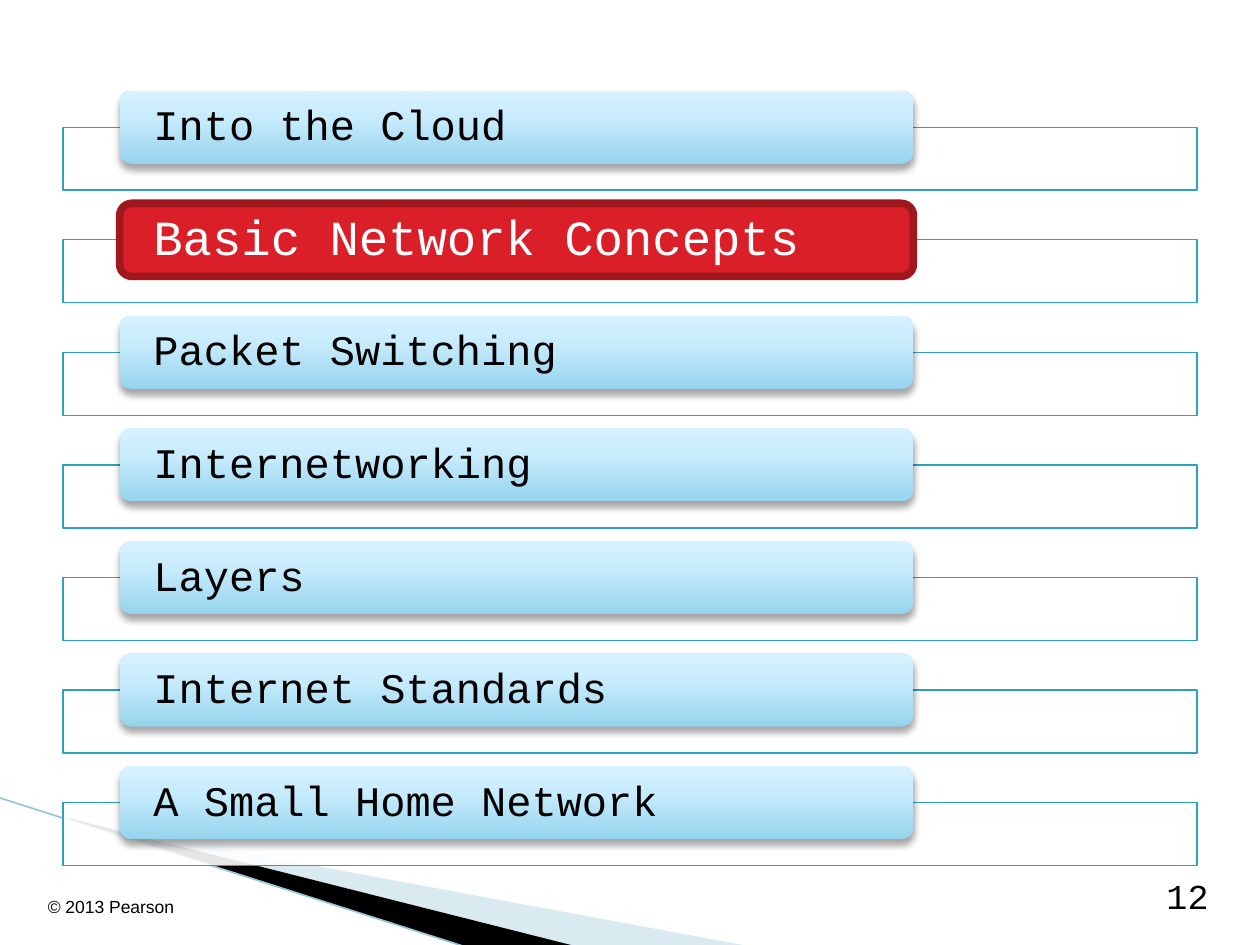
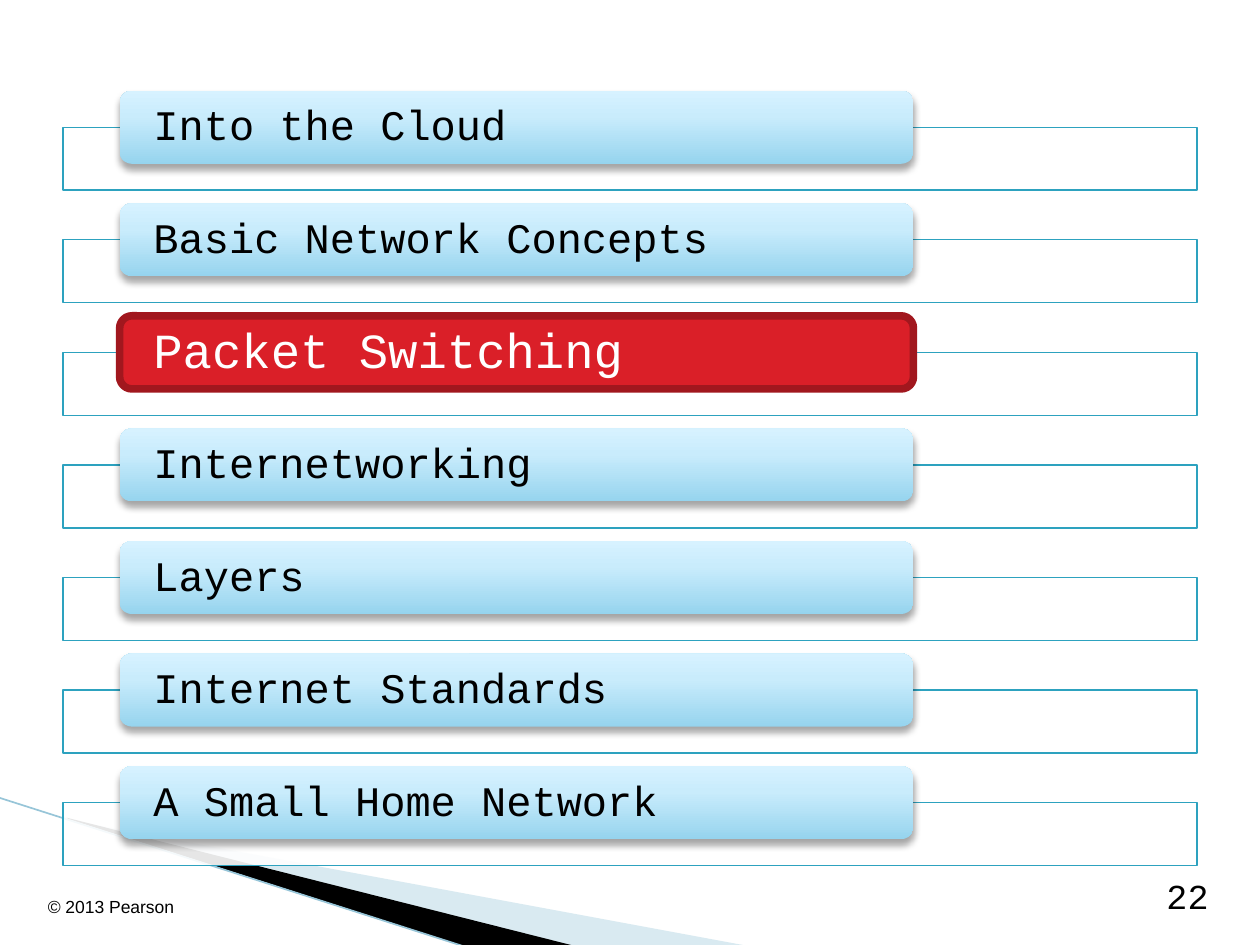
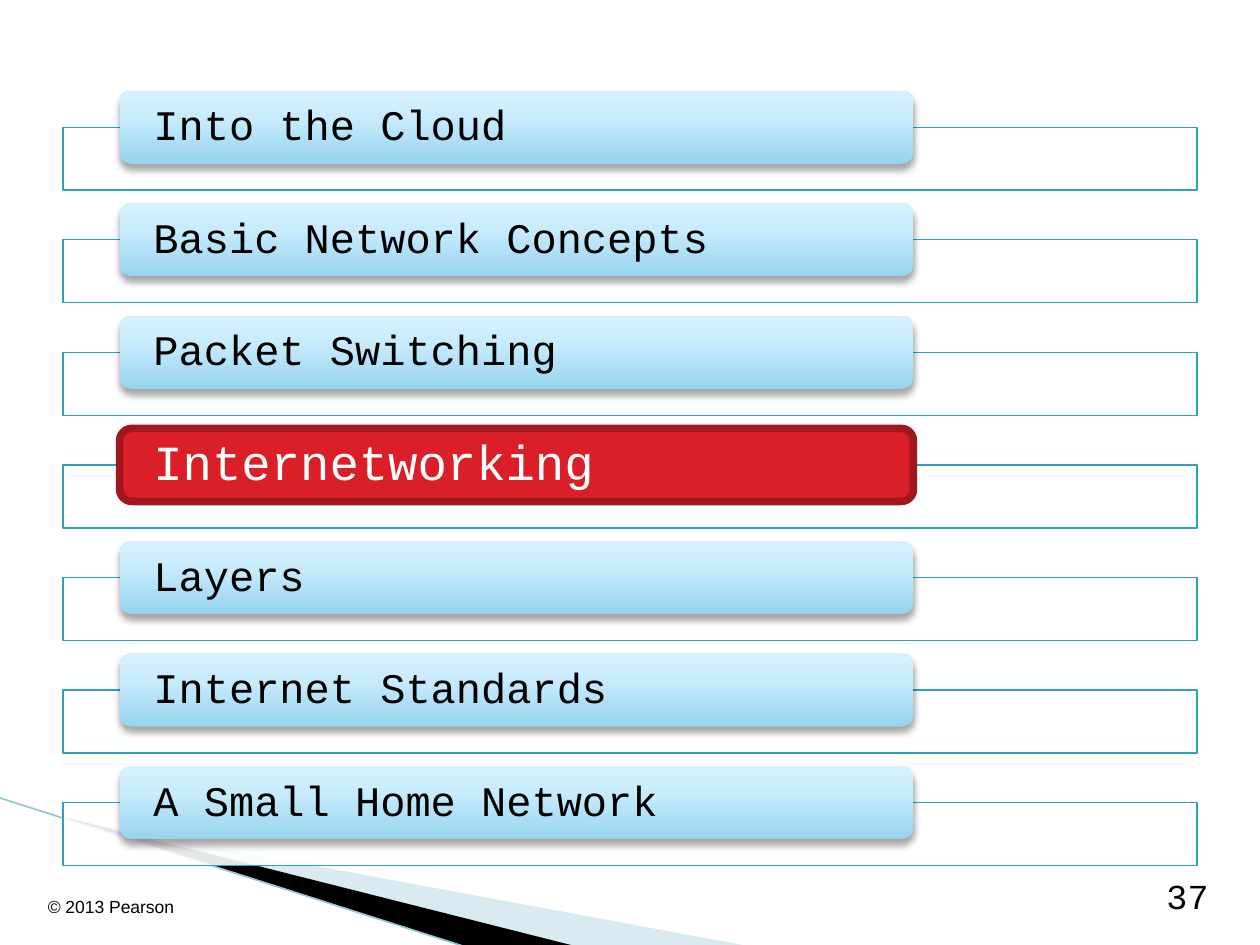
from copy import deepcopy

from pptx import Presentation
from pptx.dml.color import RGBColor
from pptx.enum.shapes import MSO_CONNECTOR, MSO_SHAPE
from pptx.enum.text import MSO_ANCHOR, PP_ALIGN
from pptx.oxml.ns import qn
from pptx.oxml.xmlchemy import OxmlElement
from pptx.util import Inches, Pt

BLACK = "000000"
WHITE = "FFFFFF"
TEAL = "2DA2BF"
PALE_BLUE = "A0CBDC"
EDGE_BLUE = "97C5D8"
RED = "DA1F28"
DARK_RED = "A1171E"
BAR_GRADIENT = [(0, "96D4EE"), (0.65, "C9ECFC"), (1, "D7F2FF")]

TOPIC_FONT = "Courier New"
FOOTER_FONT = "Arial"

TOPICS = [
    "Into the Cloud",
    "Basic Network Concepts",
    "Packet Switching",
    "Internetworking",
    "Layers",
    "Internet Standards",
    "A Small Home Network",
]
# Page number and the topic highlighted on that page
AGENDA_PAGES = [
    (12, "Basic Network Concepts"),
    (22, "Packet Switching"),
    (37, "Internetworking"),
]

FIRST_BAR_TOP = 0.72
FRAME_OFFSET = 0.29
ROW_PITCH = 5.36 / (len(TOPICS) - 1)


def rgb(color):
    return RGBColor.from_string(color)


def set_fill(shape, color, opacity=100):
    shape.fill.solid()
    shape.fill.fore_color.rgb = rgb(color)
    if opacity < 100:
        alpha = OxmlElement("a:alpha")
        alpha.set("val", str(opacity * 1000))
        shape.element.spPr.find(".//" + qn("a:srgbClr")).append(alpha)


def set_line(shape, color, width):
    shape.line.color.rgb = rgb(color)
    shape.line.width = Pt(width)


def set_bar_gradient(shape):
    shape.fill.gradient()
    shape.fill.gradient_angle = 90
    stop_list = shape.element.spPr.find(".//" + qn("a:gsLst"))
    stop_list.append(deepcopy(stop_list[0]))
    for stop, (position, color) in zip(shape.fill.gradient_stops, BAR_GRADIENT):
        stop.position = position
        stop.color.rgb = rgb(color)


def add_drop_shadow(shape):
    shadow = OxmlElement("a:outerShdw")
    for name, value in [("blurRad", Pt(4)), ("dist", Pt(3)), ("dir", 90 * 60000)]:
        shadow.set(name, str(int(value)))
    shadow.set("rotWithShape", "0")
    color = OxmlElement("a:srgbClr")
    color.set("val", BLACK)
    alpha = OxmlElement("a:alpha")
    alpha.set("val", "35000")
    color.append(alpha)
    shadow.append(color)
    shape.element.spPr.find(qn("a:effectLst")).append(shadow)


def set_text(shape, text, font_name, size, color, alignment, anchor):
    frame = shape.text_frame
    frame.word_wrap = True
    frame.vertical_anchor = anchor
    paragraph = frame.paragraphs[0]
    paragraph.text = text
    paragraph.alignment = alignment
    paragraph.font.name = font_name
    paragraph.font.size = Pt(size)
    paragraph.font.color.rgb = rgb(color)


def add_wedge(slide, points, color, opacity=100):
    corners = [(Inches(x), Inches(y)) for x, y in points]
    builder = slide.shapes.build_freeform(*corners[0])
    builder.add_line_segments(corners[1:], close=True)
    wedge = builder.convert_to_shape()
    wedge.shadow.inherit = False
    set_fill(wedge, color, opacity)
    wedge.line.fill.background()
    return wedge


def add_edge_line(slide):
    edge = slide.shapes.add_connector(
        MSO_CONNECTOR.STRAIGHT,
        Inches(-0.01), Inches(6.33), Inches(3.71), Inches(7.52),
    )
    set_line(edge, EDGE_BLUE, 0.95)
    edge.element.spPr.append(OxmlElement("a:effectLst"))
    return edge


def move_corner_to_layout(slide):
    """Draw the corner decoration on the slide, then hand it to its layout."""
    decorations = [
        add_wedge(
            slide,
            [(0.55, 6.51), (5.95, 7.51), (4.56, 7.51), (0.55, 6.5)],
            PALE_BLUE, 40,
        ),
        add_wedge(
            slide,
            [(0.53, 6.49), (4.57, 7.51), (3.72, 7.52), (0.54, 6.5)],
            BLACK,
        ),
        add_edge_line(slide),
    ]
    for decoration in decorations:
        slide.slide_layout.shapes.element.append(decoration.element)


def add_box(shapes, kind, left, top, width, height):
    box = shapes.add_shape(
        kind, Inches(left), Inches(top), Inches(width), Inches(height)
    )
    box.shadow.inherit = False
    return box


def add_topic_row(shapes, topic, bar_top, highlighted):
    frame = add_box(
        shapes, MSO_SHAPE.RECTANGLE, 0.5, bar_top + FRAME_OFFSET, 9, 0.5
    )
    set_fill(frame, WHITE, 90)
    set_line(frame, TEAL, 0.75)

    bar = add_box(shapes, MSO_SHAPE.ROUNDED_RECTANGLE, 0.95, bar_top, 6.3, 0.58)
    if highlighted:
        set_fill(bar, RED)
        set_line(bar, DARK_RED, 4.33)
        size, color = 28, WHITE
    else:
        set_bar_gradient(bar)
        bar.line.fill.background()
        add_drop_shadow(bar)
        size, color = 24, BLACK
    set_text(bar, topic, TOPIC_FONT, size, color, PP_ALIGN.LEFT, MSO_ANCHOR.MIDDLE)
    bar.text_frame.paragraphs[0].line_spacing = 0.9
    bar.text_frame.margin_left = bar.text_frame.margin_right = Inches(0.24)
    bar.text_frame.margin_top = bar.text_frame.margin_bottom = 0


def add_agenda(slide, current_topic):
    group = slide.shapes.add_group_shape()
    for row, topic in enumerate(TOPICS):
        bar_top = FIRST_BAR_TOP + row * ROW_PITCH
        add_topic_row(group.shapes, topic, bar_top, topic == current_topic)


def add_footer_text(slide, text, left, top, width, font_name, size, alignment):
    box = slide.shapes.add_textbox(
        Inches(left), Inches(top), Inches(width), Inches(0.4)
    )
    set_text(box, text, font_name, size, BLACK, alignment, MSO_ANCHOR.BOTTOM)


def add_footer(slide, page_number):
    add_footer_text(
        slide, str(page_number), 8.75, 6.92, 0.94, TOPIC_FONT, 20, PP_ALIGN.RIGHT
    )
    add_footer_text(
        slide, "© 2013 Pearson", 0.17, 6.93, 1.42, FOOTER_FONT, 10, PP_ALIGN.CENTER
    )


def main():
    presentation = Presentation()
    presentation.slide_width = Inches(10)
    presentation.slide_height = Inches(7.5)
    blank_layout = presentation.slide_layouts[6]

    for page_number, current_topic in AGENDA_PAGES:
        slide = presentation.slides.add_slide(blank_layout)
        add_agenda(slide, current_topic)
        add_footer(slide, page_number)
    move_corner_to_layout(presentation.slides[0])

    presentation.save("out.pptx")


if __name__ == "__main__":
    main()
